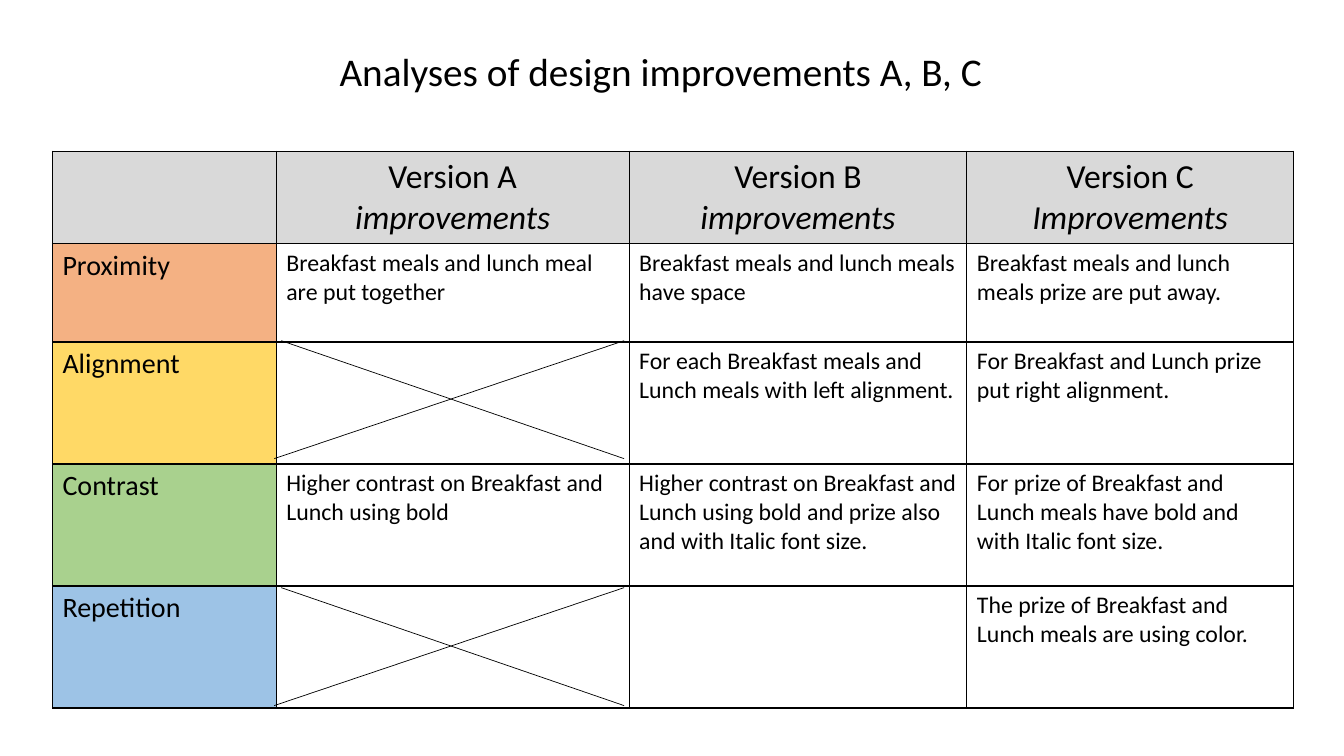
from lxml import etree
from pptx import Presentation
from pptx.dml.color import RGBColor
from pptx.enum.shapes import MSO_AUTO_SHAPE_TYPE, MSO_CONNECTOR
from pptx.enum.text import MSO_AUTO_SIZE, PP_ALIGN
from pptx.oxml import parse_xml
from pptx.oxml.ns import nsdecls, qn
from pptx.util import Inches, Pt

BLACK = RGBColor(0x00, 0x00, 0x00)
HEADER_GRAY = RGBColor(0xD9, 0xD9, 0xD9)
ORANGE = RGBColor(0xF4, 0xB1, 0x83)
YELLOW = RGBColor(0xFF, 0xD9, 0x66)
GREEN = RGBColor(0xA9, 0xD1, 0x8E)
BLUE = RGBColor(0x9D, 0xC3, 0xE6)

COLUMN_WIDTHS = [2.22, 3.5, 3.35, 3.24]
ROW_HEIGHTS = [0.91, 0.98, 1.21, 1.21, 1.21]
VERSIONS = [
    ("Version A", "improvements"),
    ("Version B", "improvements"),
    ("Version C", "Improvements"),
]
PRINCIPLES = [
    ("Proximity", ORANGE, [
        "Breakfast meals and lunch meal are put together",
        "Breakfast meals and lunch meals have space",
        "Breakfast meals and lunch meals prize are put away."]),
    ("Alignment", YELLOW, [
        "",
        "For each Breakfast meals and Lunch meals with left alignment.",
        "For Breakfast and Lunch prize put right alignment."]),
    ("Contrast", GREEN, [
        "Higher contrast on Breakfast and Lunch using bold",
        "Higher contrast on Breakfast and Lunch using bold and prize also "
        "and with Italic font size.",
        "For prize of Breakfast and Lunch meals have bold and with Italic font size."]),
    ("Repetition", BLUE, [
        "",
        "",
        "The prize of Breakfast and Lunch meals are using color."]),
]


def write(para, text, size, **extra):
    if not text:
        return
    span = para.add_run()
    span.text = text
    span.font.color.rgb = BLACK
    formats = {"name": "Calibri", "size": Pt(size), **extra}
    for name, value in formats.items():
        setattr(span.font, name, value)


def format_cell(cell, fill=None):
    """Give the cell black borders on all sides and an optional fill."""
    properties = cell._tc.get_or_add_tcPr()
    for side in ("lnL", "lnR", "lnT", "lnB"):
        properties.append(parse_xml(
            f'<a:{side} {nsdecls("a")} w="{Pt(1)}"><a:solidFill>'
            f'<a:srgbClr val="{BLACK}"/></a:solidFill></a:{side}>'))
    if fill is None:
        cell.fill.background()
    else:
        cell.fill.solid()
        cell.fill.fore_color.rgb = fill


def add_title(page, left, top, width, height):
    box = page.shapes.add_textbox(
        Inches(left), Inches(top), Inches(width), Inches(height))
    box.text_frame.word_wrap = False
    box.text_frame.auto_size = MSO_AUTO_SIZE.SHAPE_TO_FIT_TEXT
    write(box.text_frame.paragraphs[0],
          "Analyses of design improvements A, B, C", 28)


def add_analysis_table(page, left, top):
    table = page.shapes.add_table(
        len(ROW_HEIGHTS), len(COLUMN_WIDTHS), Inches(left), Inches(top),
        Inches(sum(COLUMN_WIDTHS)), Inches(sum(ROW_HEIGHTS))).table
    table.first_row = table.horz_banding = False
    for column, width in zip(table.columns, COLUMN_WIDTHS):
        column.width = Inches(width)
    for row, height in zip(table.rows, ROW_HEIGHTS):
        row.height = Inches(height)

    format_cell(table.cell(0, 0), HEADER_GRAY)
    for column, (version, subtitle) in enumerate(VERSIONS, 1):
        cell = table.cell(0, column)
        format_cell(cell, HEADER_GRAY)
        first, second = cell.text_frame.paragraphs[0], cell.text_frame.add_paragraph()
        first.alignment = second.alignment = PP_ALIGN.CENTER
        write(first, version, 24)
        write(second, subtitle, 24, italic=True)

    for row, (principle, color, findings) in enumerate(PRINCIPLES, 1):
        label = table.cell(row, 0)
        format_cell(label, color)
        write(label.text_frame.paragraphs[0], principle, 20)
        for column, finding in enumerate(findings, 1):
            cell = table.cell(row, column)
            format_cell(cell)
            write(cell.text_frame.paragraphs[0], finding, 17)


def add_cross(page, left, top, width, height):
    """Cross out a cell with two diagonals; the falling one starts a bit inside."""
    right, bottom = left + width, top + height
    for start, end in [((left, bottom), (right, top)),
                       ((left + 0.07, top), (right, bottom))]:
        line = page.shapes.add_connector(
            MSO_CONNECTOR.STRAIGHT, *map(Inches, start + end))
        line.line.color.rgb = BLACK
        line.line.width = Pt(0.5)
        etree.SubElement(line._element.spPr, qn("a:effectLst"))


def main():
    deck = Presentation()
    deck.slide_width, deck.slide_height = Inches(13.33), Inches(7.5)
    page = deck.slides.add_slide(deck.slide_layouts[6])
    add_analysis_table(page, 0.52, 1.5)
    add_title(page, 3.27, 0.42, 6.64, 0.57)
    for top in (3.38, 5.83):
        add_cross(page, 2.72, top, 3.47, 1.17)
    deck.save("out.pptx")


if __name__ == "__main__":
    main()
